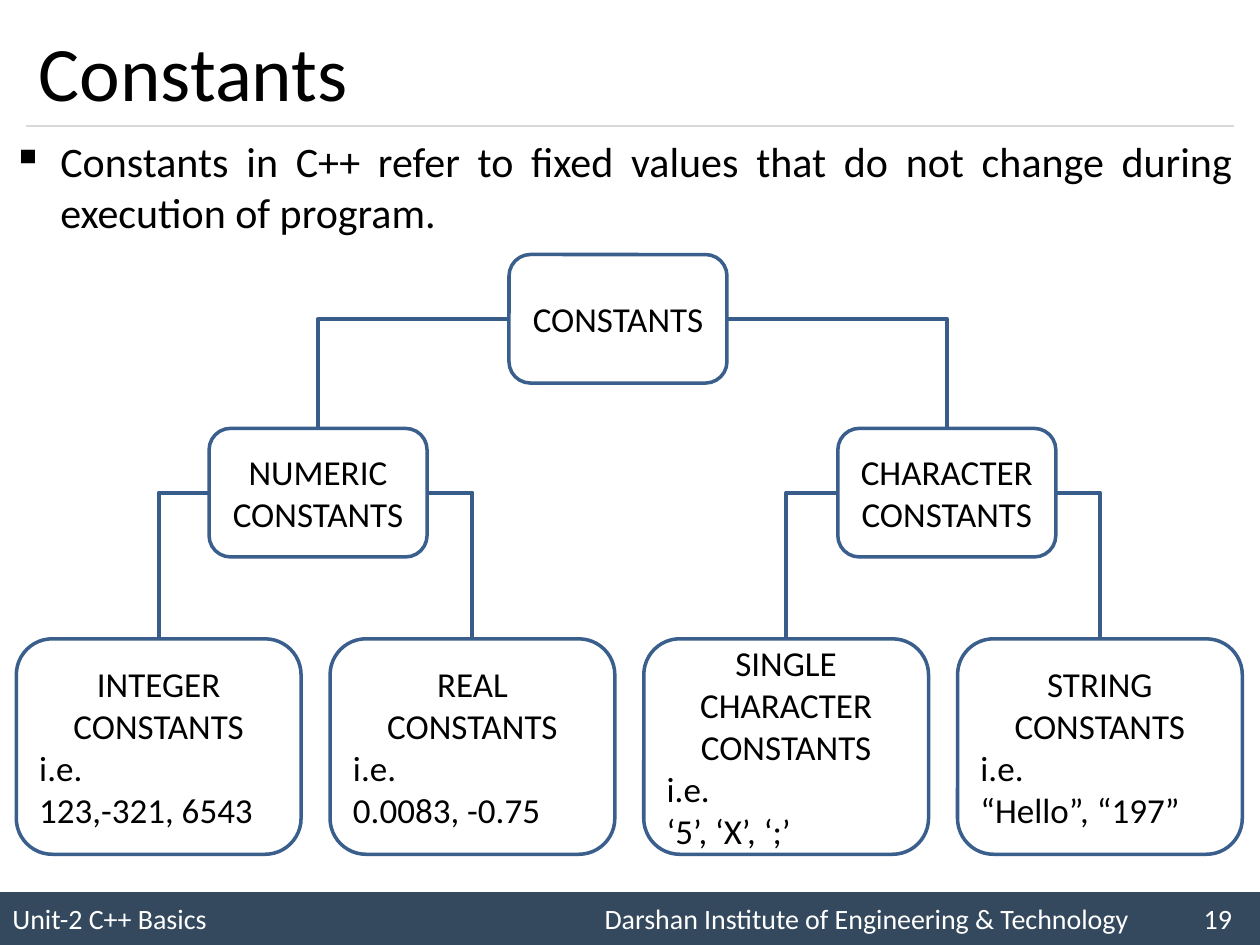
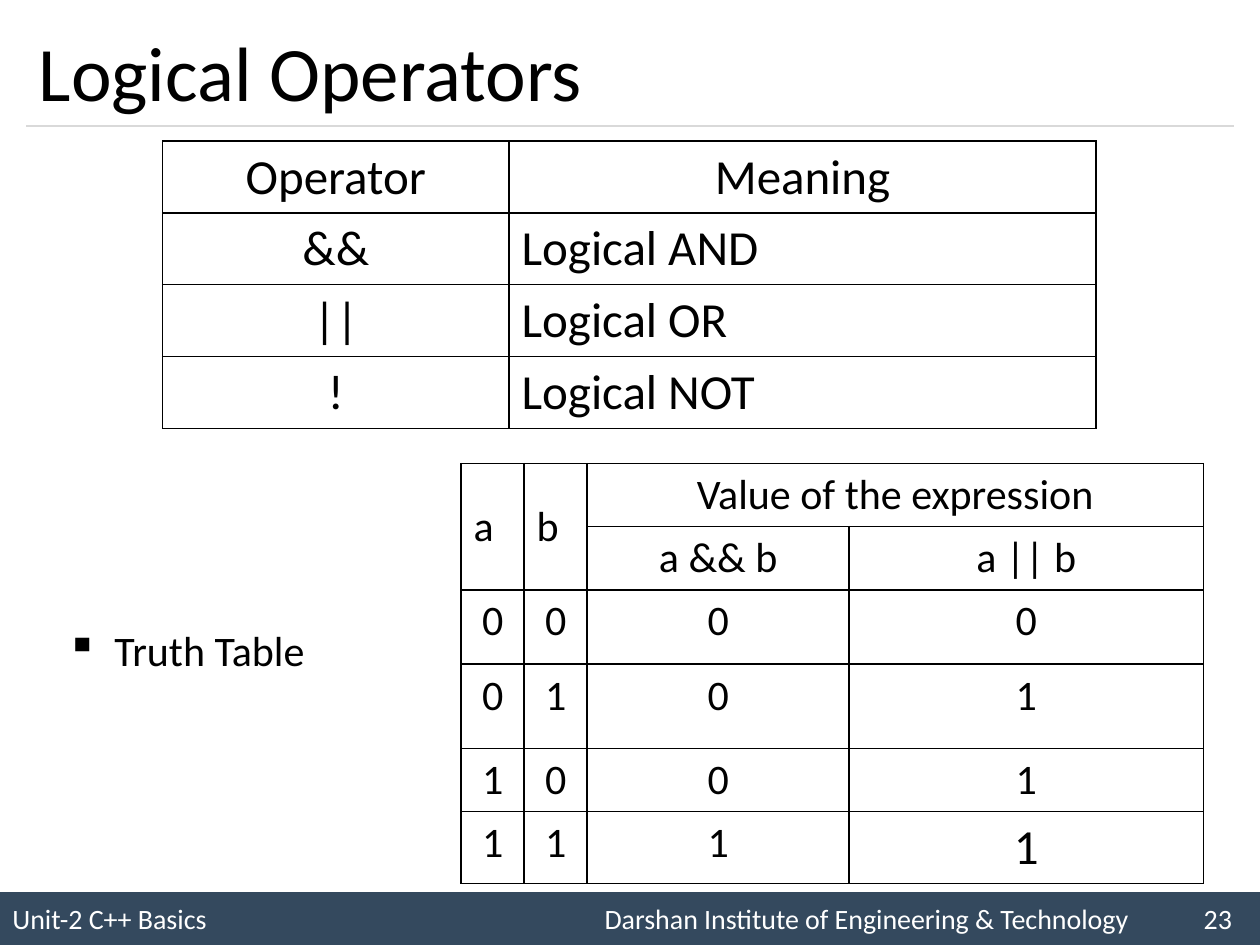
from lxml.etree import SubElement
from pptx import Presentation
from pptx.dml.color import RGBColor
from pptx.enum.shapes import MSO_CONNECTOR as Connector, MSO_SHAPE as Shape
from pptx.enum.text import MSO_ANCHOR as Anchor, PP_ALIGN as Align
from pptx.oxml.ns import qn
from pptx.util import Inches, Pt

BLACK = RGBColor(0x00, 0x00, 0x00)
WHITE = RGBColor(0xFF, 0xFF, 0xFF)
BAND = RGBColor(0x34, 0x49, 0x5E)
RULE = RGBColor(0xD9, 0xD9, 0xD9)
BOX_LINE = RGBColor(0x3A, 0x5F, 0x8C)
LINK_LINE = RGBColor(0x38, 0x5D, 0x8A)

UNIT = "Unit-2 C++ Basics"
INSTITUTE = "Darshan Institute of Engineering & Technology"
LEFT_SIDE, RIGHT_SIDE, TOP_SIDE = 1, 3, 0


def apply(target, values):
    for name, value in values.items():
        setattr(target, name, value)


class Deck:
    font_name = "Calibri"

    def __init__(self):
        self.presentation = Presentation()
        apply(self.presentation, {"slide_width": Inches(10), "slide_height": Inches(7.5)})
        self.slide = None

    def add_slide(self, title, number):
        self.slide = self.presentation.slides.add_slide(self.presentation.slide_layouts[6])
        self.band(number)
        self.rule()
        self.text_box((0.21, 0.12, 9.58, 0.88), title, 44, anchor=Anchor.MIDDLE)

    def fill_paragraph(self, paragraph, text, size, color=BLACK, **layout):
        apply(paragraph, layout)
        run = paragraph.add_run()
        run.text = text
        apply(run.font, {"name": self.font_name, "size": Pt(size)})
        run.font.color.rgb = color

    def text_box(self, place, text, size, anchor=Anchor.TOP, bullet=False, **layout):
        box = self.slide.shapes.add_textbox(*map(Inches, place))
        apply(box.text_frame, {"word_wrap": True, "vertical_anchor": anchor})
        paragraph = box.text_frame.paragraphs[0]
        if bullet:
            properties = paragraph._p.get_or_add_pPr()
            properties.set("marL", str(Inches(0.38)))
            properties.set("indent", str(-Inches(0.38)))
            SubElement(properties, qn("a:buChar")).set("char", "▪")
        self.fill_paragraph(paragraph, text, size, **layout)

    def band(self, number):
        band = self.slide.shapes.add_shape(
            Shape.RECTANGLE, 0, Inches(7.08), Inches(10), Inches(0.42))
        band.shadow.inherit = False
        band.fill.solid()
        band.fill.fore_color.rgb = BAND
        band.line.fill.background()
        band.text_frame.vertical_anchor = Anchor.MIDDLE
        paragraph = band.text_frame.paragraphs[0]
        tabs = SubElement(paragraph._p.get_or_add_pPr(), qn("a:tabLst"))
        for position, kind in ((4.7, "l"), (9.68, "r")):
            tab = SubElement(tabs, qn("a:tab"))
            tab.set("pos", str(Inches(position)))
            tab.set("algn", kind)
        footer = f"{UNIT}\t{INSTITUTE}\t{number}"
        self.fill_paragraph(paragraph, footer, 16, WHITE, alignment=Align.LEFT)

    def style_line(self, connector, color, width):
        connector.line.color.rgb = color
        connector.line.width = Pt(width)
        SubElement(connector._element.spPr, qn("a:effectLst"))

    def rule(self):
        line = self.slide.shapes.add_connector(
            Connector.STRAIGHT, Inches(0.21), Inches(1), Inches(9.79), Inches(1))
        self.style_line(line, RULE, 0.75)

    def rounded_box(self, place, heading, examples=()):
        box = self.slide.shapes.add_shape(Shape.ROUNDED_RECTANGLE, *map(Inches, place))
        box.shadow.inherit = False
        box.fill.background()
        box.line.color.rgb = BOX_LINE
        box.line.width = Pt(2)
        frame = box.text_frame
        apply(frame, {"word_wrap": True, "vertical_anchor": Anchor.MIDDLE})
        lines = [(text, Align.CENTER) for text in heading]
        lines += [(text, Align.LEFT) for text in examples]
        for index, (text, alignment) in enumerate(lines):
            paragraph = frame.add_paragraph() if index else frame.paragraphs[0]
            self.fill_paragraph(paragraph, text, 20, alignment=alignment)
        return box

    def branch(self, parent, side, child):
        link = self.slide.shapes.add_connector(Connector.ELBOW, 0, 0, 0, 0)
        link.begin_connect(parent, side)
        link.end_connect(child, TOP_SIDE)
        link._element.spPr.find(qn("a:prstGeom")).set("prst", "bentConnector2")
        self.style_line(link, LINK_LINE, 2.25)

    def table(self, left, top, widths, heights, rows, size, left_cells=(), merges=(), sizes=None):
        frame = self.slide.shapes.add_table(
            len(heights), len(widths), Inches(left), Inches(top),
            Inches(sum(widths)), Inches(sum(heights)))
        table = frame.table
        apply(table, {"first_row": False, "horz_banding": False})
        for column, width in zip(table.columns, widths):
            column.width = Inches(width)
        for row, height in zip(table.rows, heights):
            row.height = Inches(height)
        for first, last in merges:
            table.cell(*first).merge(table.cell(*last))
        for r, texts in enumerate(rows):
            for c, text in enumerate(texts):
                cell = table.cell(r, c)
                self.border(cell)
                cell.fill.background()
                if cell.is_spanned:
                    continue
                if cell.is_merge_origin and c < 2:
                    cell.vertical_anchor = Anchor.MIDDLE
                alignment = Align.LEFT if (r, c) in left_cells else Align.CENTER
                cell_size = (sizes or {}).get((r, c), size)
                paragraph = cell.text_frame.paragraphs[0]
                self.fill_paragraph(paragraph, text, cell_size, alignment=alignment)

    def border(self, cell):
        properties = cell._tc.get_or_add_tcPr()
        for edge in ("a:lnL", "a:lnR", "a:lnT", "a:lnB"):
            line = SubElement(properties, qn(edge))
            line.set("w", str(Pt(1)))
            fill = SubElement(line, qn("a:solidFill"))
            SubElement(fill, qn("a:srgbClr")).set("val", str(BLACK))


def build_constants(deck):
    deck.add_slide("Constants", 19)
    deck.text_box(
        (0, 1.03, 9.88, 0.91),
        "Constants in C++ refer to fixed values that do not change during execution of program.",
        24, bullet=True, alignment=Align.JUSTIFY)
    root = deck.rounded_box((4.04, 2.02, 1.73, 1.02), ["CONSTANTS"])
    kinds = [deck.rounded_box((left, 3.4, 1.73, 1.02), [name, "CONSTANTS"])
             for name, left in (("NUMERIC", 1.66), ("CHARACTER", 6.65))]
    examples = [
        ("INTEGER", "123,-321, 6543"),
        ("REAL", "0.0083, -0.75"),
        ("SINGLE CHARACTER", "‘5’, ‘X’, ‘;’"),
        ("STRING", "“Hello”, “197”"),
    ]
    leaves = [
        deck.rounded_box((0.13 + 2.49 * index, 5.07, 2.26, 1.71),
                         [name, "CONSTANTS"], ["i.e.", values])
        for index, (name, values) in enumerate(examples)]
    for parent, children in ((root, kinds), (kinds[0], leaves[:2]), (kinds[1], leaves[2:])):
        for side, child in zip((LEFT_SIDE, RIGHT_SIDE), children):
            deck.branch(parent, side, child)


def build_logical_operators(deck):
    deck.add_slide("Logical Operators", 23)
    deck.text_box((0.43, 4.85, 2.68, 0.64), "Truth Table", 24, bullet=True, line_spacing=1.14)
    meanings = [("Operator", "Meaning"), ("&&", "Logical AND"),
                ("||", "Logical OR"), ("!", "Logical NOT")]
    deck.table(1.29, 1.12, [2.75, 4.66], [0.57] * 4, meanings, 28,
               left_cells={(row, 1) for row in (1, 2, 3)})
    truth = [("a", "b", "Value of the expression", ""), ("", "", "a && b", "a || b")]
    truth += [(str(a), str(b), str(a & b), str(a | b)) for a in (0, 1) for b in (0, 1)]
    deck.table(3.66, 3.68, [0.5, 0.5, 2.08, 2.81], [0.5, 0.5, 0.59, 0.67, 0.5, 0.57],
               truth, 24, left_cells={(0, 0), (0, 1)},
               merges=[((0, 0), (1, 0)), ((0, 1), (1, 1)), ((0, 2), (0, 3))],
               sizes={(5, 3): 28})


def main():
    deck = Deck()
    build_constants(deck)
    build_logical_operators(deck)
    deck.presentation.save("out.pptx")


if __name__ == "__main__":
    main()
